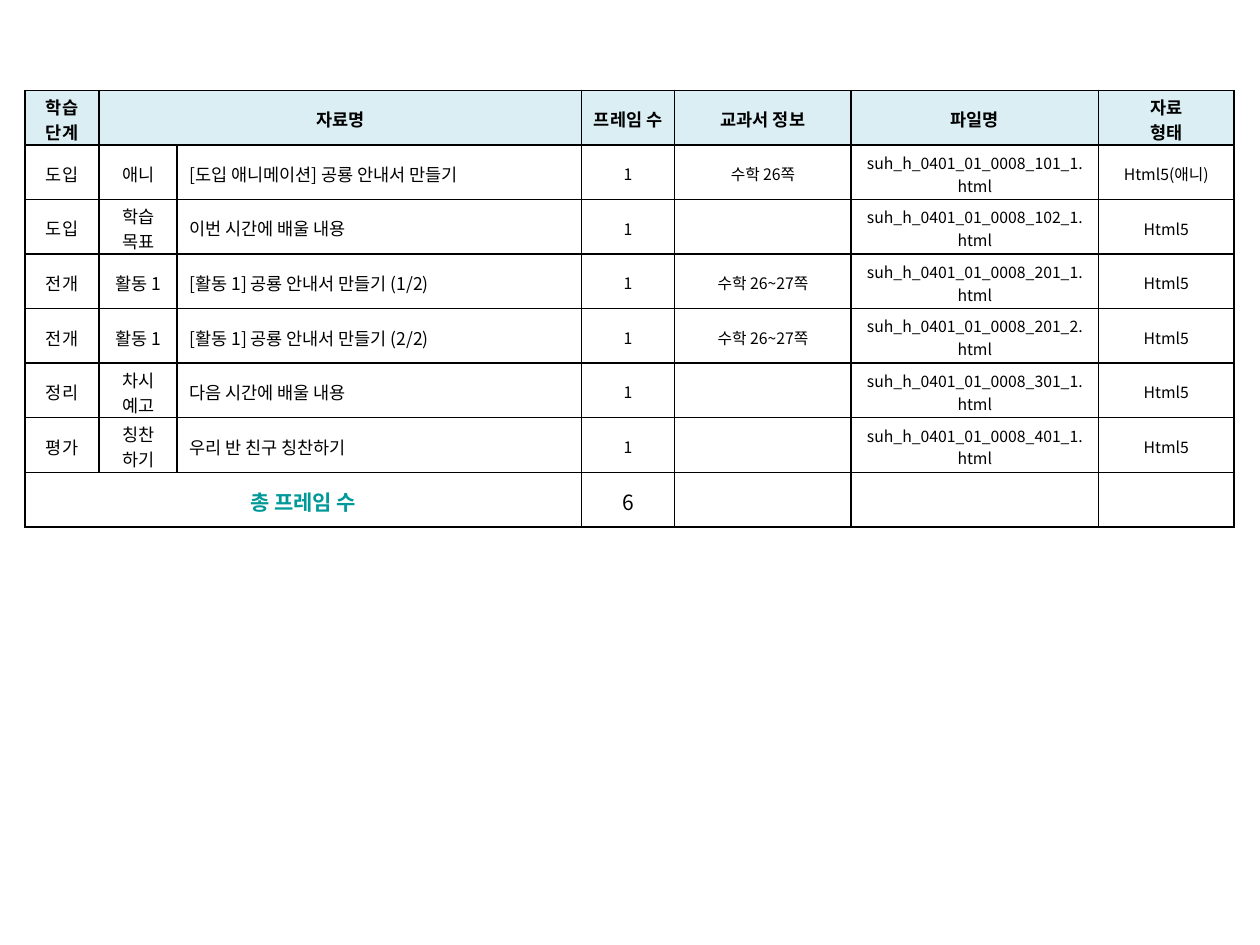
from lxml import etree
from pptx import Presentation
from pptx.dml.color import RGBColor
from pptx.enum.text import MSO_ANCHOR, PP_ALIGN
from pptx.oxml.ns import qn
from pptx.util import Cm, Pt

CENTER, LEFT = PP_ALIGN.CENTER, PP_ALIGN.LEFT
MIDDLE = MSO_ANCHOR.MIDDLE

FONT = "Noto Sans CJK KR"
BLACK, WHITE, TEAL, PALE_BLUE = "000000", "FFFFFF", "009999", "DBEEF4"
COL_WIDTHS = [1.5, 1.57, 8.15, 1.88, 3.56, 4.98, 2.74]
COL_SIZES = [10, 10, 10, 9, 9, 9, 9]
ROW_HEIGHT = 1.1
TITLE_COL = 2

HEADER = ["학습 단계", "자료명", "", "프레임 수", "교과서 정보", "파일명", "자료\n형태"]
LESSONS = [
    ("도입", "애니", "[도입 애니메이션] 공룡 안내서 만들기", "수학 26쪽", "101_1", "Html5(애니)"),
    ("도입", "학습 목표", "이번 시간에 배울 내용", "", "102_1", "Html5"),
    ("전개", "활동 1", "[활동 1] 공룡 안내서 만들기 (1/2)", "수학 26~27쪽", "201_1", "Html5"),
    ("전개", "활동 1", "[활동 1] 공룡 안내서 만들기 (2/2)", "수학 26~27쪽", "201_2", "Html5"),
    ("정리", "차시 예고", "다음 시간에 배울 내용", "", "301_1", "Html5"),
    ("평가", "칭찬\n하기", "우리 반 친구 칭찬하기", "", "401_1", "Html5"),
]


def rgb(color):
    return RGBColor.from_string(color)


def set_borders(cell):
    tc_pr = cell._tc.get_or_add_tcPr()
    for side in ("a:lnL", "a:lnR", "a:lnT", "a:lnB"):
        ln = etree.SubElement(tc_pr, qn(side), w=str(Pt(1)))
        fill = etree.SubElement(ln, qn("a:solidFill"))
        etree.SubElement(fill, qn("a:srgbClr"), val=BLACK)


def add_run(p, text, size, color, bold):
    r = p.add_run()
    r.text = text
    r.font.size = Pt(size)
    r.font.bold = bold
    r.font.name = FONT
    r.font.color.rgb = rgb(color)
    etree.SubElement(r.font._element, qn("a:ea"), typeface=FONT)


def style_cell(cell, fill):
    set_borders(cell)
    cell.fill.solid()
    cell.fill.fore_color.rgb = rgb(fill)
    cell.vertical_anchor = MIDDLE
    cell.margin_left = cell.margin_right = Cm(0.25)
    cell.margin_top, cell.margin_bottom = Cm(0.07), Cm(0)


def write_cell(cell, text, size, color=BLACK, bold=False, align=CENTER, fill=WHITE):
    style_cell(cell, fill)
    tf = cell.text_frame
    for i, line in enumerate(text.split("\n")):
        p = tf.add_paragraph() if i else tf.paragraphs[0]
        p.alignment = align
        if line:
            add_run(p, line, size, color, bold)
        else:
            etree.SubElement(p._p, qn("a:endParaRPr"), sz=str(size * 100))


def add_table(slide, row_count):
    frame = slide.shapes.add_table(
        row_count, len(COL_WIDTHS), Cm(0.5), Cm(1.82),
        Cm(sum(COL_WIDTHS)), Cm(ROW_HEIGHT * row_count))
    table = frame.table
    table.first_row = table.horz_banding = False
    for column, width in zip(table.columns, COL_WIDTHS):
        column.width = Cm(width)
    for row in table.rows:
        row.height = Cm(ROW_HEIGHT)
    return table


def fill_header(table):
    for col, text in enumerate(HEADER):
        write_cell(table.cell(0, col), text, 10, bold=True, fill=PALE_BLUE)
    table.cell(0, 1).merge(table.cell(0, TITLE_COL))


def fill_lessons(table):
    for row, (stage, part, title, pages, code, kind) in enumerate(LESSONS, 1):
        file_name = f"suh_h_0401_01_0008_{code}.html"
        values = [stage, part, title, "1", pages, file_name, kind]
        for col, (text, size) in enumerate(zip(values, COL_SIZES)):
            align = LEFT if col == TITLE_COL else CENTER
            write_cell(table.cell(row, col), text, size, align=align)


def fill_total(table):
    row = len(LESSONS) + 1
    values = ["총 프레임 수", "", "", str(len(LESSONS)), "", "", ""]
    for col, text in enumerate(values):
        is_label = col == 0
        write_cell(table.cell(row, col), text, 12,
                   color=TEAL if is_label else BLACK, bold=is_label)
    table.cell(row, 0).merge(table.cell(row, TITLE_COL))


def main():
    prs = Presentation()
    prs.slide_width, prs.slide_height = Cm(25.4), Cm(19.05)
    slide = prs.slides.add_slide(prs.slide_layouts[6])
    table = add_table(slide, len(LESSONS) + 2)
    fill_header(table)
    fill_lessons(table)
    fill_total(table)
    prs.save("out.pptx")


if __name__ == "__main__":
    main()
